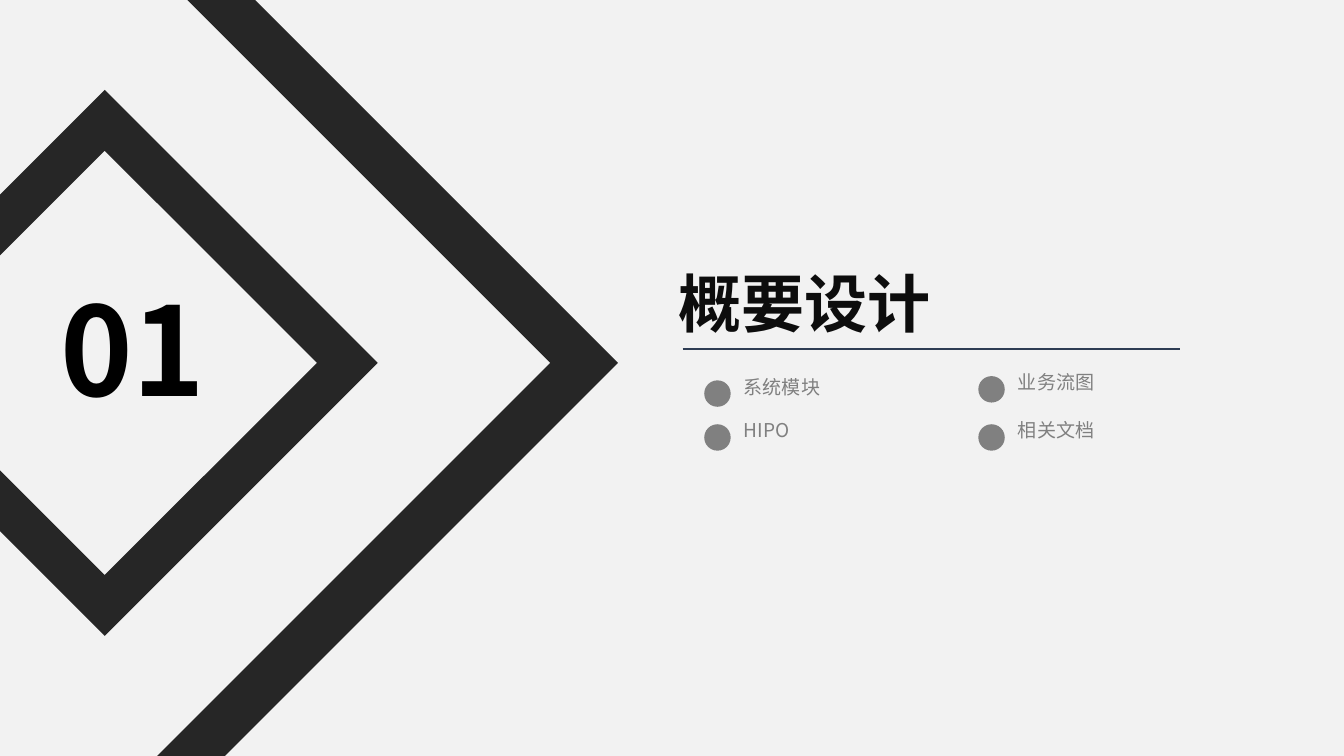
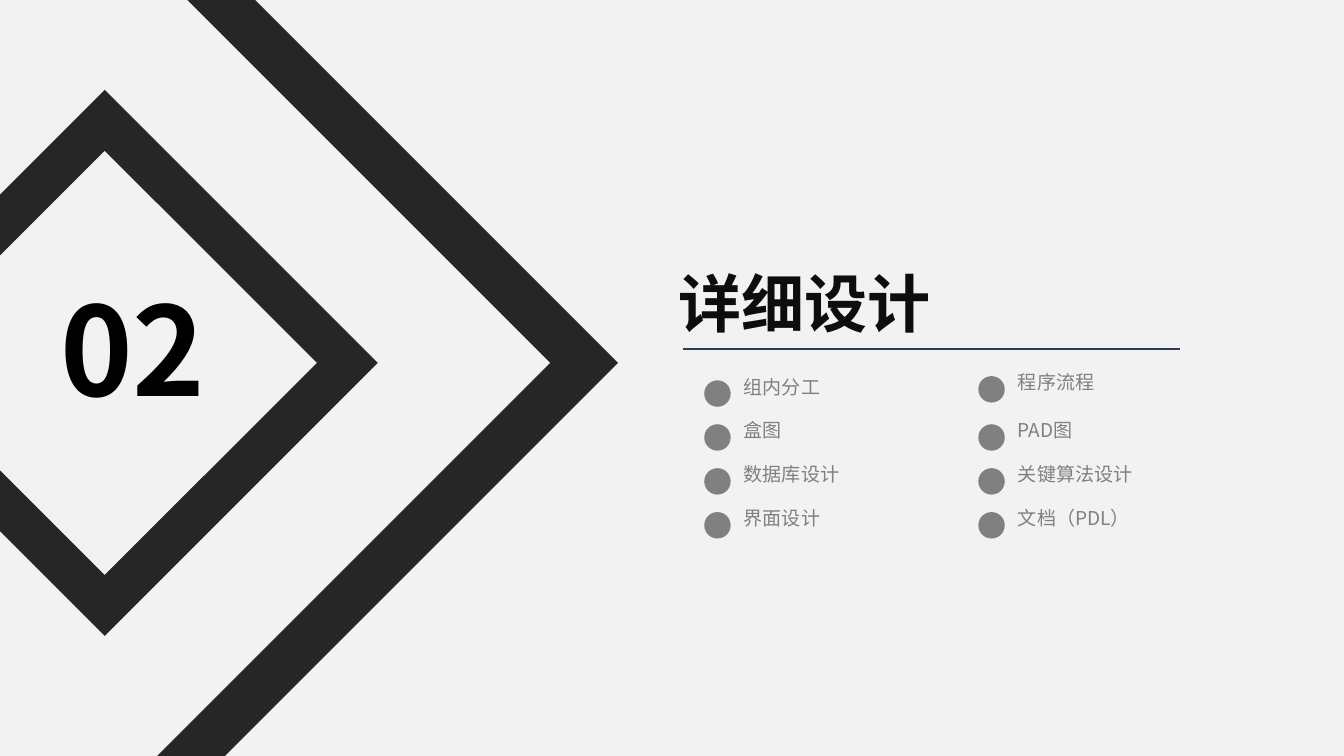
from lxml import etree
from pptx import Presentation
from pptx.dml.color import RGBColor
from pptx.enum.shapes import MSO_CONNECTOR, MSO_SHAPE
from pptx.enum.text import MSO_AUTO_SIZE
from pptx.oxml.ns import qn
from pptx.util import Cm, Pt

STRAIGHT = MSO_CONNECTOR.STRAIGHT
OVAL = MSO_SHAPE.OVAL
GROW = MSO_AUTO_SIZE.SHAPE_TO_FIT_TEXT

PAPER = RGBColor(0xF2, 0xF2, 0xF2)
DARK = RGBColor(0x26, 0x26, 0x26)
INK = RGBColor(0x0D, 0x0D, 0x0D)
BLACK = RGBColor(0, 0, 0)
GRAY = RGBColor(0x80, 0x80, 0x80)
RULE = RGBColor(0x2E, 0x3D, 0x54)

FONT = "Noto Sans CJK SC"
SPACING = 0.88

# Boxes are left, top, width, height in cm
BADGE = (0.89, 5.41, 3.38, 3.07)
HEAD = (12.57, 5.05, 11.38, 1.7)
LIST = (13.31, 7.19, 10.36, 3.32)

PARTS = [
    ("01", "概要设计", ["系统模块", "业务流图", "HIPO", "相关文档"]),
    ("02", "详细设计", ["组内分工", "程序流程", "盒图", "PAD图",
                    "数据库设计", "关键算法设计", "界面设计", "文档（PDL）"]),
]


def paint(shape, color):
    shape.shadow.inherit = False
    shape.fill.solid()
    shape.fill.fore_color.rgb = color
    shape.line.fill.background()


def add_text(shapes, box, text, size, color, bold=False, wrap=True):
    frame = shapes.add_textbox(*map(Cm, box)).text_frame
    frame.word_wrap = wrap
    frame.auto_size = GROW
    frame.text = text
    para = frame.paragraphs[0]
    para.line_spacing = SPACING
    font = para.runs[0].font
    font.name, font.size, font.bold = FONT, Pt(size), bold
    font.color.rgb = color
    props = para.runs[0]._r.get_or_add_rPr()
    etree.SubElement(props, qn("a:ea")).set("typeface", FONT)


def add_outline(slide, *loops):
    """Fill one shape bounded by closed loops of points in cm."""
    loops = [[(Cm(x), Cm(y)) for x, y in loop] for loop in loops]
    pen = slide.shapes.build_freeform(*loops[0][0], scale=1.0)
    for num, loop in enumerate(loops):
        if num:
            pen.move_to(*loop[0])
        pen.add_line_segments(loop[1:], close=True)
    paint(pen.convert_to_shape(), DARK)


def add_chevron(slide, x, y, reach, thick):
    """Draw a right-pointing chevron with its tip at x, y."""
    back = x - reach
    add_outline(slide, [
        (back, y - reach), (x, y), (back, y + reach),
        (back - thick, y + reach - thick), (x - 2 * thick, y),
        (back - thick, y - reach + thick)])


def add_ring(slide, x, y, outer, inner):
    """Draw a hollow diamond centred at x, y."""
    def loop(r):
        return [(x, y - r), (x + r, y), (x, y + r), (x - r, y)]
    add_outline(slide, loop(outer), loop(inner)[::-1])


def add_head(slide, box, title):
    left, top, width, height = box
    add_text(slide.shapes, box, title, 33.8, INK, bold=True)
    start, level = left + 0.33, top + 1.55
    line = slide.shapes.add_connector(
        STRAIGHT, Cm(start), Cm(level), Cm(start + 9.4), Cm(level))
    line.line.color.rgb = RULE
    line.line.width = Pt(0.75)
    etree.SubElement(line._element.spPr, qn("a:effectLst"))


def add_list(slide, box, items):
    """Place bulleted items in two columns, row by row."""
    left, top, width, height = box
    dot, step, lift = 0.5, height / 4, 0.08
    for num, item in enumerate(items):
        row, col = divmod(num, 2)
        x = left + col * width / 2
        y = top + row * step
        if num == 1:
            y -= lift
        shapes = slide.shapes.add_group_shape().shapes
        paint(shapes.add_shape(OVAL, Cm(x), Cm(y), Cm(dot), Cm(dot)), GRAY)
        add_text(shapes, (x + dot, y - 0.17, 5.1, 0.69), item, 10.2, GRAY)


def add_part(deck, number, title, items):
    slide = deck.slides.add_slide(deck.slide_layouts[6])
    add_head(slide, HEAD, title)
    add_list(slide, LIST, items)
    add_text(slide.shapes, BADGE, number, 66, BLACK, bold=True, wrap=False)
    add_chevron(slide, 11.68, 6.86, 13.3, 0.64)
    add_ring(slide, 1.98, 6.86, 5.16, 4.01)


def main():
    deck = Presentation()
    deck.slide_width, deck.slide_height = Cm(25.4), Cm(14.29)
    fill = deck.slide_master.background.fill
    fill.solid()
    fill.fore_color.rgb = PAPER
    for part in PARTS:
        add_part(deck, *part)
    deck.save("out.pptx")


if __name__ == "__main__":
    main()
